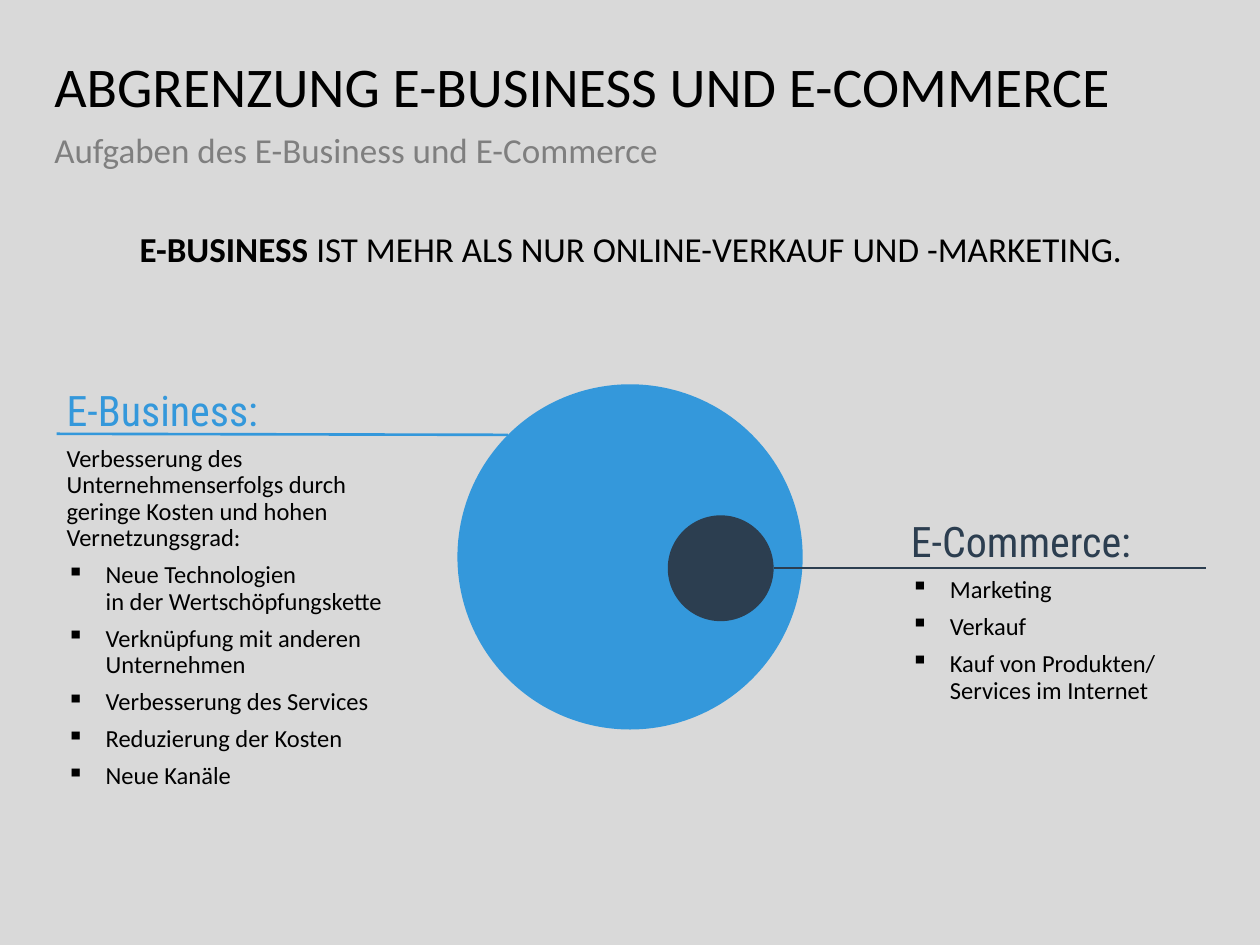
from lxml import etree
from pptx import Presentation
from pptx import util as u
from pptx.dml.color import RGBColor
from pptx.enum import shapes, text
from pptx.oxml.ns import qn

BLUE, NAVY, BLACK, GREY = "3498DB", "2C3E50", "000000", "7F7F7F"
BODY_FONT, HEADING_FONT = "Calibri", "Roboto Condensed"
INDENT = 22.3


def paint(color_format, value):
    color_format.rgb = RGBColor.from_string(value)


def place(shape, left, top, width, height):
    shape.left, shape.top = u.Pt(left), u.Pt(top)
    shape.width, shape.height = u.Pt(width), u.Pt(height)


def set_frame(frame, anchor=text.MSO_ANCHOR.TOP, side=7.2, edge=3.6):
    frame.word_wrap = True
    frame.auto_size = text.MSO_AUTO_SIZE.NONE
    frame.vertical_anchor = anchor
    frame.margin_left = frame.margin_right = u.Pt(side)
    frame.margin_top = frame.margin_bottom = u.Pt(edge)


def set_bullet(para, mark=None):
    """Give the paragraph a hanging bullet, or remove bullet and indent."""
    properties = para._p.get_or_add_pPr()
    indent = u.Pt(INDENT) if mark else 0
    properties.set("marL", str(indent))
    properties.set("indent", str(-indent))
    if mark:
        etree.SubElement(properties, qn("a:buChar")).set("char", mark)
    else:
        etree.SubElement(properties, qn("a:buNone"))


def format_para(para, size, color, font=BODY_FONT, after=0, mark=None,
                align=text.PP_ALIGN.LEFT):
    set_bullet(para, mark)
    para.alignment = align
    para.line_spacing = 0.9
    para.space_before, para.space_after = u.Pt(0), u.Pt(after)
    for span in para.runs:
        span.font.size, span.font.name = u.Pt(size), font
        paint(span.font.color, color)


def fill_placeholder(shape, bounds, words, size, color, after=0):
    place(shape, *bounds)
    set_frame(shape.text_frame, side=0, edge=0)
    shape.text_frame.text = words
    format_para(shape.text_frame.paragraphs[0], size, color, after=after)


def add_statement(page, bounds, lead, rest):
    box = page.shapes.add_textbox(*map(u.Pt, bounds))
    set_frame(box.text_frame, text.MSO_ANCHOR.MIDDLE, side=42.5)
    para = box.text_frame.paragraphs[0]
    for words, bold in ((lead, True), (rest, False)):
        span = para.add_run()
        span.text, span.font.bold = words, bold
    format_para(para, 20, BLACK, align=text.PP_ALIGN.CENTER)


def add_description(page, bounds, heading, color, bullets, intro=None):
    box = page.shapes.add_textbox(*map(u.Pt, bounds))
    frame = box.text_frame
    set_frame(frame)
    frame.text = heading
    format_para(frame.paragraphs[0], 24, color, HEADING_FONT, after=6)
    lines = [(intro, None)] if intro else []
    lines += [(bullet, "▪") for bullet in bullets]
    for words, mark in lines:
        para = frame.add_paragraph()
        para.text = words
        format_para(para, 14, BLACK, after=6, mark=mark)


def add_circle(group, left, top, diameter, color):
    circle = group.shapes.add_shape(shapes.MSO_SHAPE.OVAL,
                                    *map(u.Pt, (left, top, diameter, diameter)))
    circle.shadow.inherit = False
    circle.fill.solid()
    paint(circle.fill.fore_color, color)
    circle.line.fill.background()


def add_leader(page, ends, color):
    leader = page.shapes.add_connector(shapes.MSO_CONNECTOR.STRAIGHT,
                                       *map(u.Pt, ends))
    leader.line.width = u.Pt(1.5)
    paint(leader.line.color, color)
    etree.SubElement(leader._element.spPr, qn("a:effectLst"))


def main():
    deck = Presentation()
    deck.slide_width, deck.slide_height = u.Pt(720), u.Pt(540)
    page = deck.slides.add_slide(deck.slide_layouts[1])
    page.background.fill.solid()
    paint(page.background.fill.fore_color, "D9D9D9")

    fill_placeholder(page.shapes.title, (31, 33.8, 657.4, 85),
                     "ABGRENZUNG E-BUSINESS UND E-COMMERCE", 32, BLACK)
    fill_placeholder(page.placeholders[1], (31, 76.3, 657.4, 42.5),
                     "Aufgaben des E-Business und E-Commerce", 20, GREY, after=10)
    add_description(page, (513.4, 294.5, 175, 213.8), "E-Commerce:", NAVY,
                    ["Marketing", "Verkauf",
                     "Kauf von Produkten/ \vServices im Internet"])
    add_statement(page, (32.4, 118.8, 656.6, 49), "E-BUSINESS ",
                  "IST MEHR ALS NUR ONLINE-VERKAUF UND -MARKETING.")

    circles = page.shapes.add_group_shape()
    add_circle(circles, 261.4, 219.6, 197.3, BLUE)
    add_circle(circles, 381.6, 294.5, 60.5, NAVY)

    add_description(page, (31, 219.6, 196.6, 237.6), "E-Business:", BLUE,
                    ["Neue Technologien \vin der Wertschöpfungskette",
                     "Verknüpfung mit anderen Unternehmen",
                     "Verbesserung des Services",
                     "Reduzierung der Kosten",
                     "Neue Kanäle"],
                    intro="Verbesserung des Unternehmenserfolgs durch geringe "
                          "Kosten und hohen Vernetzungsgrad:")
    add_leader(page, (32.4, 247.9, 290.2, 248.5), BLUE)
    add_leader(page, (442.1, 324.5, 689, 324.5), NAVY)
    deck.save("out.pptx")


if __name__ == "__main__":
    main()
